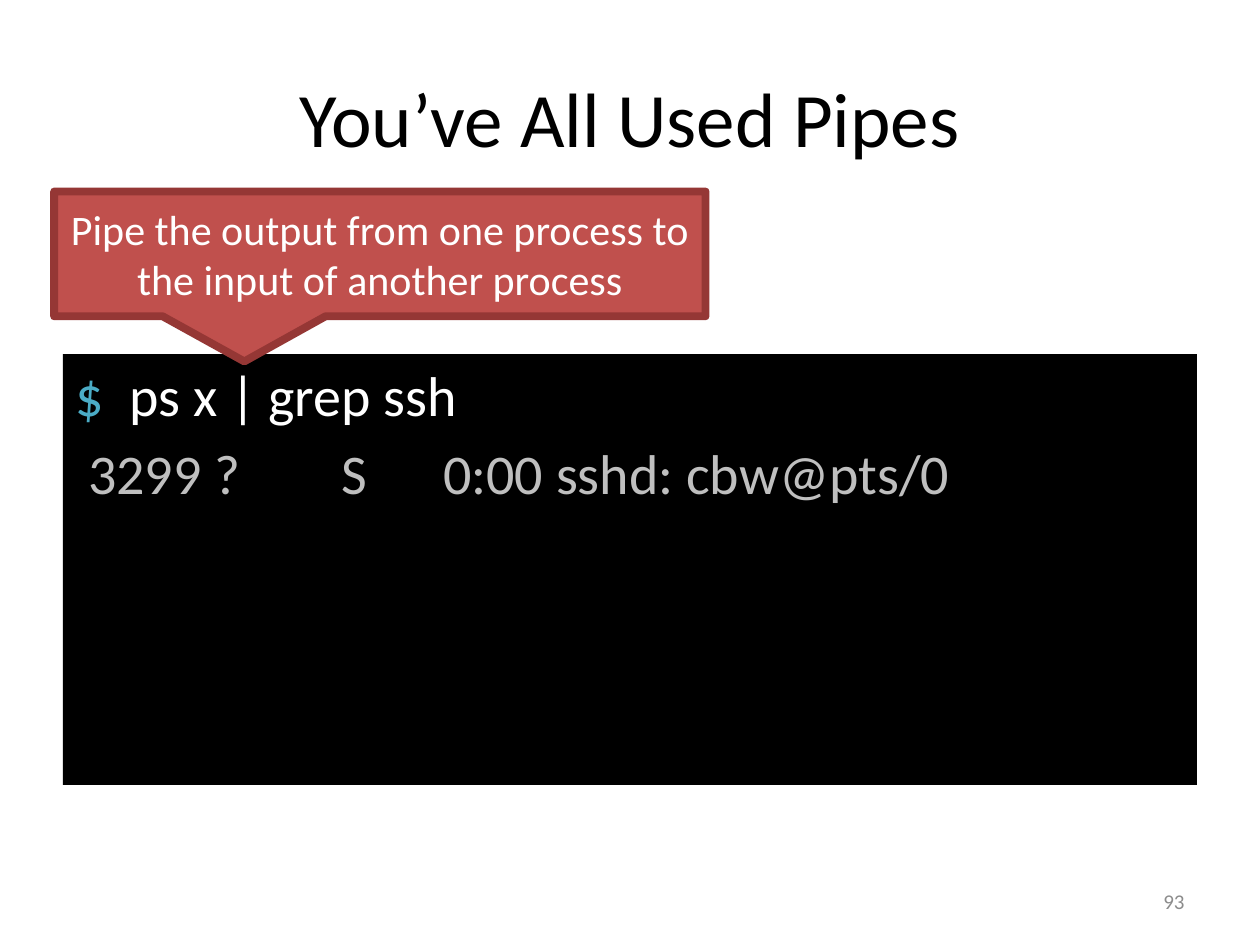
from lxml import etree
from pptx import Presentation
from pptx.dml.color import RGBColor
from pptx.enum import shapes, text
from pptx.oxml.ns import qn
from pptx.util import Inches, Pt

BLACK = RGBColor(0, 0, 0)
WHITE = RGBColor(255, 255, 255)
TEAL = RGBColor(0x4B, 0xAC, 0xC6)
SILVER = RGBColor(0xBF, 0xBF, 0xBF)
GRAY = RGBColor(0x8C, 0x8C, 0x8C)
RED = RGBColor(0xC0, 0x50, 0x4D)
MAROON = RGBColor(0x95, 0x37, 0x35)
ALIGN = text.PP_ALIGN
KIND = shapes.MSO_SHAPE


def write(shape, words, size, color, align):
    frame = shape.text_frame
    frame.word_wrap = True
    frame.vertical_anchor = text.MSO_ANCHOR.MIDDLE
    par = frame.paragraphs[0]
    par.text = words
    par.alignment = align
    par.font.name = "Calibri"
    par.font.size = Pt(size)
    par.font.color.rgb = color


def set_tabs(par, stops):
    tabs = etree.SubElement(par._p.get_or_add_pPr(), qn("a:tabLst"))
    for stop in stops:
        etree.SubElement(tabs, qn("a:tab"), pos=str(Inches(stop)), algn="l")


prs = Presentation()
prs.slide_width, prs.slide_height = Inches(10), Inches(7.5)
slide = prs.slides.add_slide(prs.slide_layouts[6])

title = slide.shapes.add_textbox(Inches(0.5), Inches(0.3), Inches(9), Inches(1.25))
write(title, "You’ve All Used Pipes", 44, BLACK, ALIGN.CENTER)

# Terminal window: each line has its tab stops and its coloured runs
term = slide.shapes.add_shape(
    KIND.RECTANGLE, Inches(0.5), Inches(2.81), Inches(9), Inches(3.42))
term.shadow.inherit = False
term.fill.solid()
term.fill.fore_color.rgb = BLACK
term.line.fill.background()
frame = term.text_frame
frame.word_wrap = True
frame.vertical_anchor = text.MSO_ANCHOR.TOP
lines = [
    ([0.43], [("$", TEAL), ("\tps x | grep ssh", WHITE)]),
    ([2.11, 2.92], [(" 3299 ?\tS\t0:00 sshd: cbw@pts/0", SILVER)]),
]
for i, (stops, runs) in enumerate(lines):
    par = frame.add_paragraph() if i else frame.paragraphs[0]
    par.alignment = ALIGN.LEFT
    par.space_before = Pt(6.4)
    set_tabs(par, stops)
    par.font.name = "Calibri"
    par.font.size = Pt(32)
    for words, color in runs:
        run = par.add_run()
        run.text = words
        run.font.color.rgb = color

number = slide.shapes.add_textbox(Inches(7.17), Inches(6.95), Inches(2.33), Inches(0.4))
write(number, "93", 12, GRAY, ALIGN.RIGHT)

note = slide.shapes.add_shape(
    KIND.RECTANGULAR_CALLOUT, Inches(0.43), Inches(1.52), Inches(5.17), Inches(0.99))
note.adjustments[0] = -0.208
note.adjustments[1] = 0.862
note.shadow.inherit = False
note.fill.solid()
note.fill.fore_color.rgb = RED
note.line.color.rgb = MAROON
note.line.width = Pt(4.5)
write(note, "Pipe the output from one process to the input of another process",
      24, WHITE, ALIGN.CENTER)

prs.save("out.pptx")
